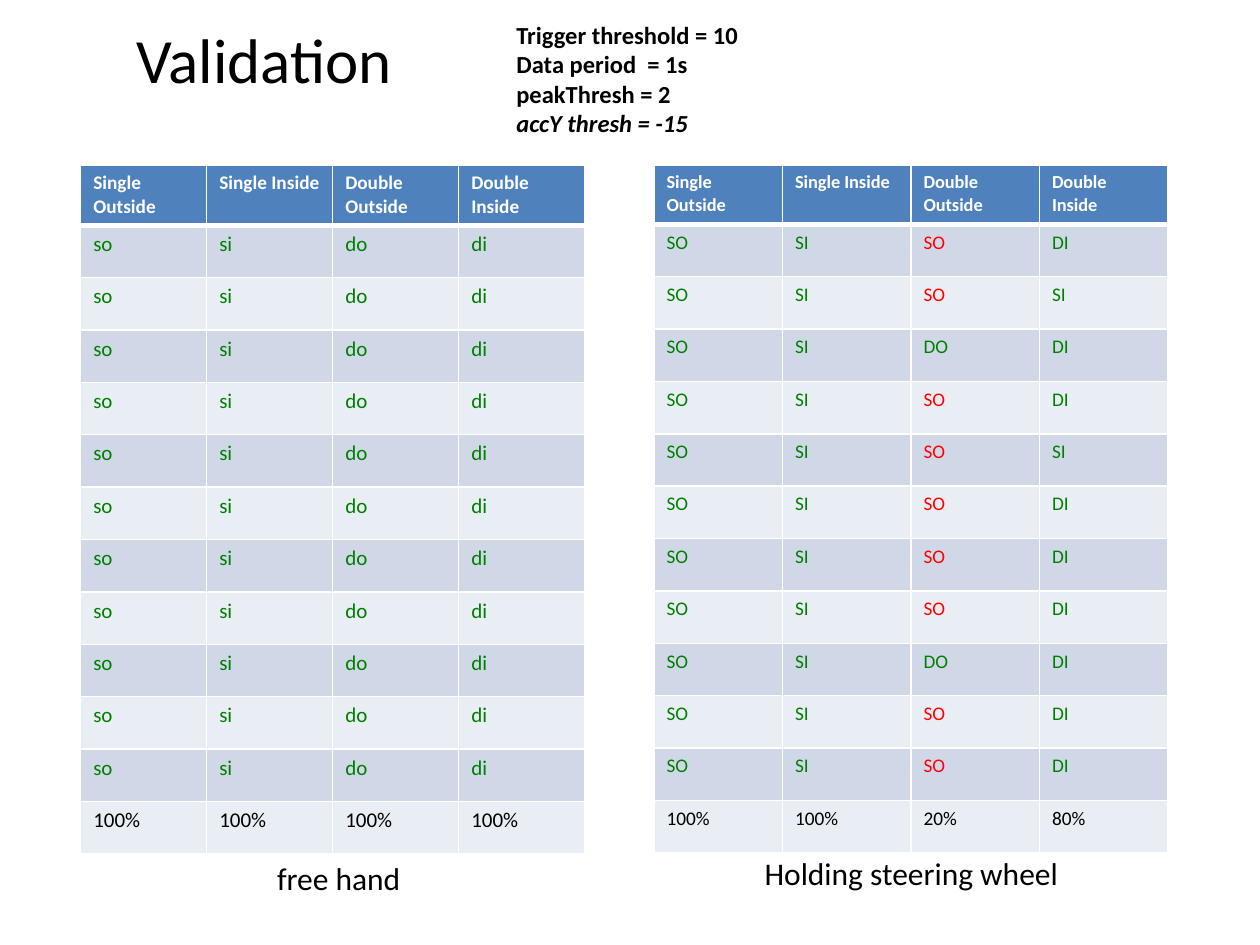
from lxml import etree
from pptx import Presentation
from pptx.dml.color import RGBColor
from pptx.enum import text
from pptx.oxml.ns import qn
from pptx.util import Inches, Pt

BLACK, WHITE, GREEN, RED = "000000", "FFFFFF", "008000", "FF0000"
HEADER_FILL, BAND_FILLS = "4F81BD", ("D0D8E8", "E9EDF4")
HEADERS = ["Single Outside", "Single Inside", "Double Outside", "Double Inside"]
TABLE_TOP, HEADER_H, ROW_H = 1.31, 0.47, 0.416


def rgb(value):
    return RGBColor.from_string(value)


def write(p, words, size=18, color=BLACK, bold=False, italic=False):
    r = p.add_run()
    r.text = words
    f = r.font
    f.name, f.size, f.bold, f.italic = "Calibri", Pt(size), bold, italic
    f.color.rgb = rgb(color)


def add_title(s, words, x, y, w, h):
    sp = s.shapes.title
    sp.left, sp.top, sp.width, sp.height = map(Inches, (x, y, w, h))
    tf = sp.text_frame
    tf.vertical_anchor = text.MSO_ANCHOR.MIDDLE
    p = tf.paragraphs[0]
    p.alignment = text.PP_ALIGN.CENTER
    write(p, words, size=36)


def add_text(s, x, y, w, h, lines):
    """Add a text box from (words, format) pairs, one paragraph each."""
    tf = s.shapes.add_textbox(*map(Inches, (x, y, w, h))).text_frame
    tf.word_wrap = False
    tf.auto_size = text.MSO_AUTO_SIZE.SHAPE_TO_FIT_TEXT
    for i, (words, style) in enumerate(lines):
        p = tf.add_paragraph() if i else tf.paragraphs[0]
        write(p, words, **style)


def set_borders(cell, top, bottom):
    tc_pr = cell._tc.get_or_add_tcPr()
    for side, width in (("L", 1), ("R", 1), ("T", top), ("B", bottom)):
        ln = etree.SubElement(tc_pr, qn(f"a:ln{side}"), w=str(Pt(width)))
        fill = etree.SubElement(ln, qn("a:solidFill"))
        etree.SubElement(fill, qn("a:srgbClr"), val=WHITE)


def add_results(s, x, col_w, trials, totals, header_size, body_size, wrong=()):
    """Add a table of trials; words in wrong are red in the third column."""
    rows = [HEADERS, *trials, totals]
    n_cols = len(HEADERS)
    height = HEADER_H + ROW_H * (len(rows) - 1)
    table = s.shapes.add_table(len(rows), n_cols, Inches(x), Inches(TABLE_TOP),
                               Inches(col_w * n_cols), Inches(height)).table
    for col in table.columns:
        col.width = Inches(col_w)
    for i, row in enumerate(rows):
        table.rows[i].height = Inches(HEADER_H if i == 0 else ROW_H)
        for j, words in enumerate(row):
            cell = table.cell(i, j)
            set_borders(cell, top=3 if i == 1 else 1, bottom=3 if i == 0 else 1)
            cell.fill.solid()
            cell.fill.fore_color.rgb = rgb(BAND_FILLS[(i - 1) % 2] if i else HEADER_FILL)
            if i == 0:
                color = WHITE
            elif row is totals:
                color = BLACK
            else:
                color = RED if j == 2 and words in wrong else GREEN
            write(cell.text_frame.paragraphs[0], words, color=color, bold=i == 0,
                  size=body_size if i else header_size)


def main():
    prs = Presentation()
    prs.slide_width, prs.slide_height = Inches(10), Inches(7.5)
    s = prs.slides.add_slide(prs.slide_layouts[5])

    add_title(s, "Validation", 0.14, 0.04, 3.91, 0.84)

    free_hand = [["so", "si", "do", "di"]] * 11
    add_results(s, 0.64, 1, free_hand, ["100%"] * 4, header_size=11, body_size=12)

    double_outside = "SO SO DO SO SO SO SO SO DO SO SO".split()
    double_inside = "DI SI DI DI SI DI DI DI DI DI DI".split()
    steering = [["SO", "SI", *pair] for pair in zip(double_outside, double_inside)]
    add_results(s, 5.19, 1.02, steering, ["100%", "100%", "20%", "80%"],
                header_size=10.5, body_size=11, wrong=("SO",))

    add_text(s, 2.1, 6.77, 1.19, 0.4, [("free hand", {})])
    add_text(s, 5.97, 6.73, 2.56, 0.4, [("Holding steering wheel", {})])

    setting = {"size": 14, "bold": True}
    add_text(s, 4, 0.11, 2, 1.28, [
        ("Trigger threshold = 10", setting),
        ("Data period  = 1s", setting),
        ("peakThresh = 2", setting),
        ("accY thresh = -15", {**setting, "italic": True}),
    ])
    prs.save("out.pptx")


if __name__ == "__main__":
    main()
